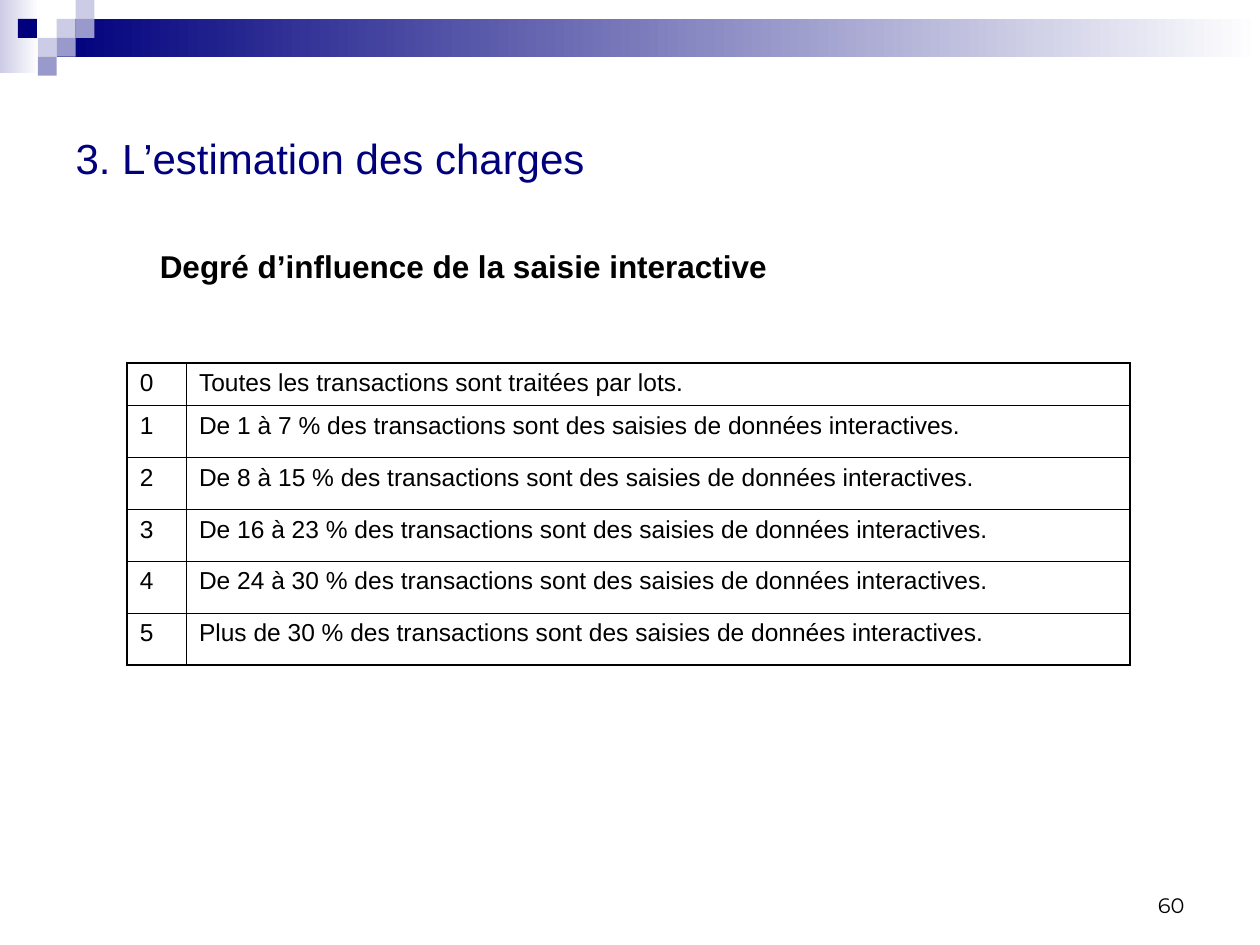
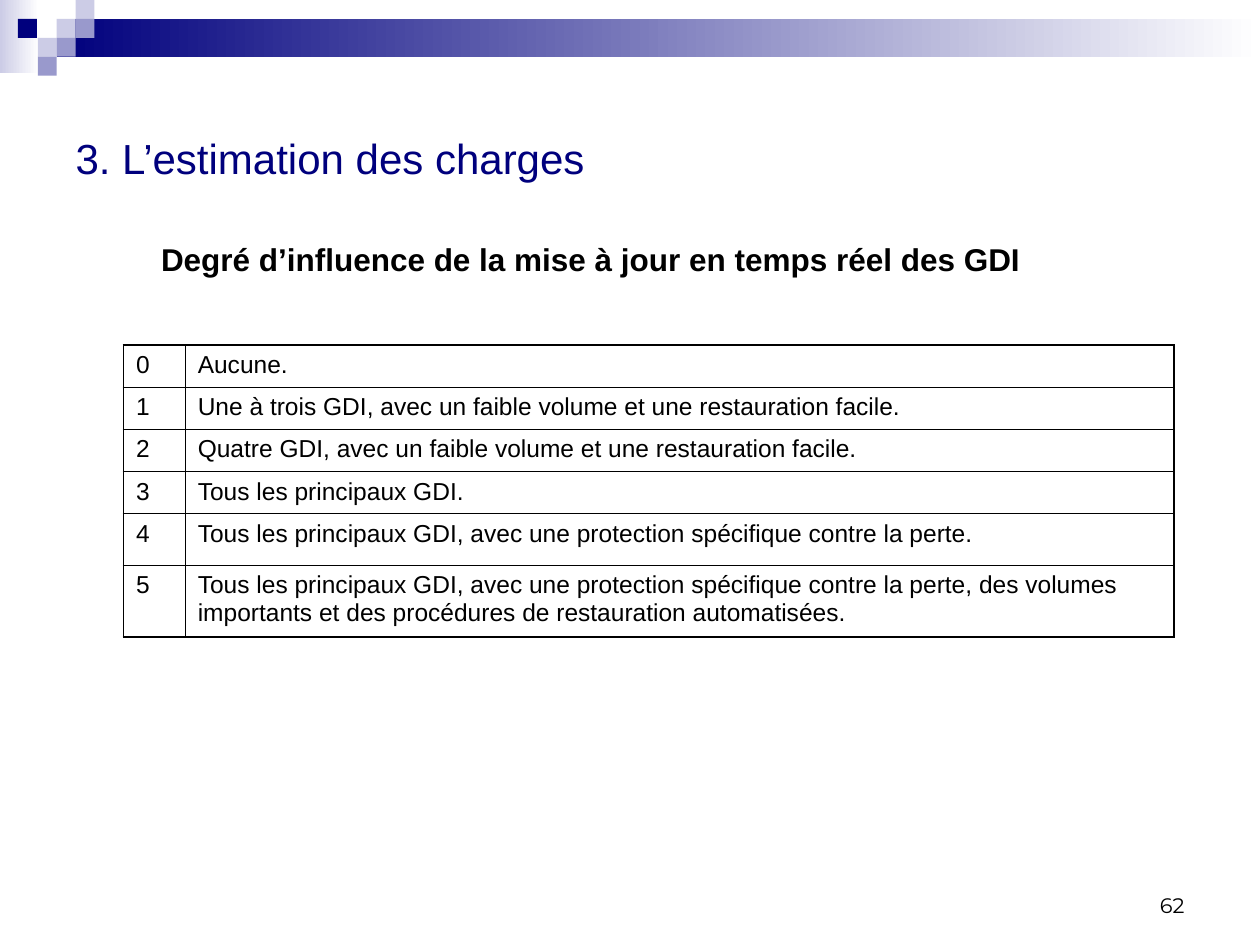
import pptx
import pptx.util
import pptx.dml.color
import pptx.enum.shapes
import pptx.enum.text
import pptx.oxml
import pptx.oxml.ns

COLORS = {
    "navy": "00007D",
    "lavender": "CCCCE6",
    "violet": "9999CC",
    "white": "FFFFFF",
    "black": "000000",
}
FONT = "Arial"
NUMBER_FONT = "Montserrat"
TITLE = "3. L’estimation des charges"
GRID = pptx.util.Inches(0.1)  # 100 columns by 75 rows
COLUMNS, ROWS = 100, 75
TILE = 1.5  # side of a header tile, in grid steps
THIN, THICK = 0.45, 1.08  # table rules, in points

# Boxes are left, top, width, height in grid steps
TITLE_BOX = (5, 5, 90, 15)
NUMBER_BOX = (71.7, 68.3, 23.3, 5)

# Header tiles: column and row counted in tiles
TILES = [
    (3, 1, "lavender"), (4, 0, "lavender"), (4, 1, "violet"),
    (2, 2, "lavender"), (0.95, 1, "navy"), (3, 2, "violet"), (2, 3, "violet"),
]

SCALES = [
    {
        "number": "60",
        "heading": "Degré d’influence de la saisie interactive",
        "heading_box": (11.7, 19.1, 80, 4),
        "table_at": (10.1, 28.8),
        "columns": (4.7, 74.9),
        "rows": [3.4] + [4.12] * 5,
        "levels": [
            "Toutes les transactions sont traitées par lots.",
            "De 1 à 7 % des transactions sont des saisies de données interactives.",
            "De 8 à 15 % des transactions sont des saisies de données interactives.",
            "De 16 à 23 % des transactions sont des saisies de données interactives.",
            "De 24 à 30 % des transactions sont des saisies de données interactives.",
            "Plus de 30 % des transactions sont des saisies de données interactives.",
        ],
    },
    {
        "number": "62",
        "heading": "Degré d’influence de la mise à jour en temps réel des GDI",
        "heading_box": (11.8, 18.6, 80, 4),
        "table_at": (9.8, 27.4),
        "columns": (4.9, 78.5),
        "rows": [3.34] * 4 + [4.1, 5.7],
        "levels": [
            "Aucune.",
            "Une à trois GDI, avec un faible volume et une restauration facile.",
            "Quatre GDI, avec un faible volume et une restauration facile.",
            "Tous les principaux GDI.",
            "Tous les principaux GDI, avec une protection spécifique contre la perte.",
            "Tous les principaux GDI, avec une protection spécifique contre la perte, "
            "des volumes importants et des procédures de restauration automatisées.",
        ],
    },
]


def grid(*steps):
    return [int(step * GRID) for step in steps]


def rgb(name):
    return pptx.dml.color.RGBColor.from_string(COLORS[name])


def write(tf, text, size, color="black", font=FONT, bold=False, align="LEFT"):
    p = tf.paragraphs[0]
    p.alignment = getattr(pptx.enum.text.PP_ALIGN, align)
    r = p.add_run()
    r.text = text
    r.font.size = pptx.util.Pt(size)
    r.font.name = font
    r.font.bold = bold
    r.font.color.rgb = rgb(color)


def add_text(slide, box, text, size, anchor="TOP", **style):
    tf = slide.shapes.add_textbox(*grid(*box)).text_frame
    tf.word_wrap = True
    tf.vertical_anchor = getattr(pptx.enum.text.MSO_ANCHOR, anchor)
    write(tf, text, size, **style)


def add_rect(slide, box, color, fade=False):
    rect = pptx.enum.shapes.MSO_SHAPE.RECTANGLE
    sp = slide.shapes.add_shape(rect, *grid(*box))
    sp.shadow.inherit = False
    sp.line.fill.background()
    if fade:
        sp.fill.gradient()
        sp.fill.gradient_angle = 0
        for stop, name in zip(sp.fill.gradient_stops, (color, "white")):
            stop.color.rgb = rgb(name)
    else:
        sp.fill.solid()
        sp.fill.fore_color.rgb = rgb(color)
    return sp


def add_header(slide):
    """Draw the header and hand it to the layout that the slides share."""
    left = 3 * TILE
    parts = [
        add_rect(slide, (0, 0, 3.1, 5.8), "lavender", fade=True),
        add_rect(slide, (left, TILE, COLUMNS - left, 2 * TILE), "navy", fade=True),
    ]
    for col, row, color in TILES:
        parts.append(add_rect(slide, (col * TILE, row * TILE, TILE, TILE), color))
    tree = slide.slide_layout.shapes.element
    for i, sp in enumerate(parts):
        sp.element.nvSpPr.cNvPr.set("id", str(100 + i))
        tree.insert(2 + i, sp.element)


def add_title(slide):
    title = slide.shapes.title
    title.left, title.top, title.width, title.height = grid(*TITLE_BOX)
    title.text_frame.vertical_anchor = pptx.enum.text.MSO_ANCHOR.MIDDLE
    write(title.text_frame, TITLE, 24, color="navy")


def set_borders(cell, widths):
    tcPr = cell._tc.get_or_add_tcPr()
    for i, (side, width) in enumerate(widths.items()):
        tcPr.insert(i, pptx.oxml.parse_xml(
            f'<a:ln{side} {pptx.oxml.ns.nsdecls("a")} w="{pptx.util.Pt(width)}">'
            f'<a:solidFill><a:srgbClr val="{COLORS["black"]}"/></a:solidFill>'
            f'</a:ln{side}>'))


def add_scale(slide, at, columns, rows, levels):
    """Table of levels: a thick frame around thin inner rules."""
    box = (*at, sum(columns), sum(rows))
    table = slide.shapes.add_table(len(rows), len(columns), *grid(*box)).table
    table.first_row = table.horz_banding = False
    for column, width in zip(table.columns, grid(*columns)):
        column.width = width
    for row, height in zip(table.rows, grid(*rows)):
        row.height = height
    for i, level in enumerate(levels):
        for j, text in enumerate((str(i), level)):
            cell = table.cell(i, j)
            cell.fill.background()
            write(cell.text_frame, text, 14)
            set_borders(cell, {
                "L": THICK if j == 0 else THIN,
                "R": THICK if j == len(columns) - 1 else THIN,
                "T": THICK if i == 0 else THIN,
                "B": THICK if i == len(rows) - 1 else THIN,
            })


def add_scale_slide(prs, layout, scale):
    slide = prs.slides.add_slide(layout)
    add_title(slide)
    add_text(slide, scale["heading_box"], scale["heading"], 18, bold=True)
    add_scale(slide, scale["table_at"], scale["columns"], scale["rows"], scale["levels"])
    add_text(slide, NUMBER_BOX, scale["number"], 12, anchor="BOTTOM",
             font=NUMBER_FONT, align="RIGHT")
    return slide


def main():
    prs = pptx.Presentation()
    prs.slide_width, prs.slide_height = grid(COLUMNS, ROWS)
    layout = prs.slide_layouts.get_by_name("Title Only")
    slides = [add_scale_slide(prs, layout, scale) for scale in SCALES]
    add_header(slides[0])
    prs.save("out.pptx")


if __name__ == "__main__":
    main()
